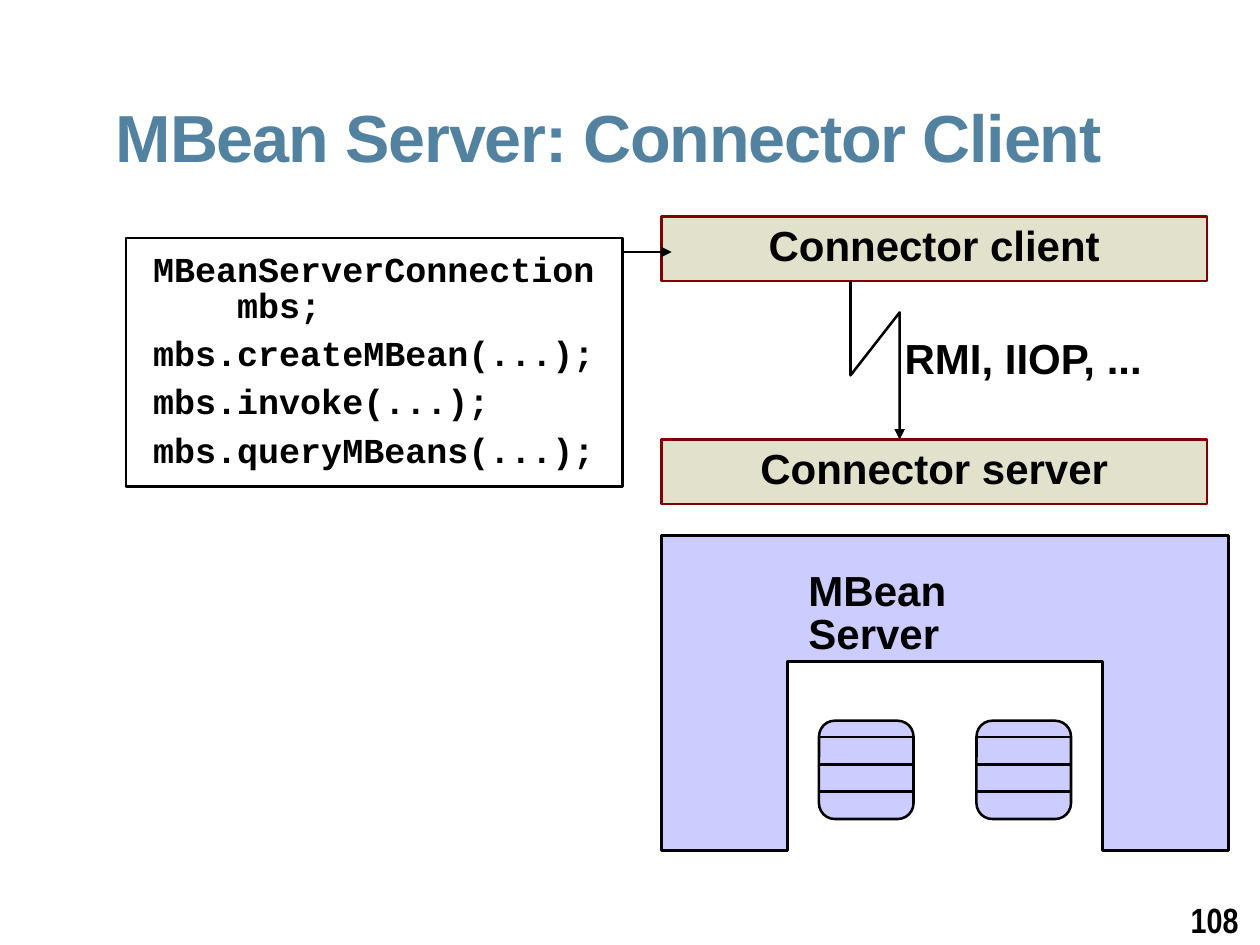
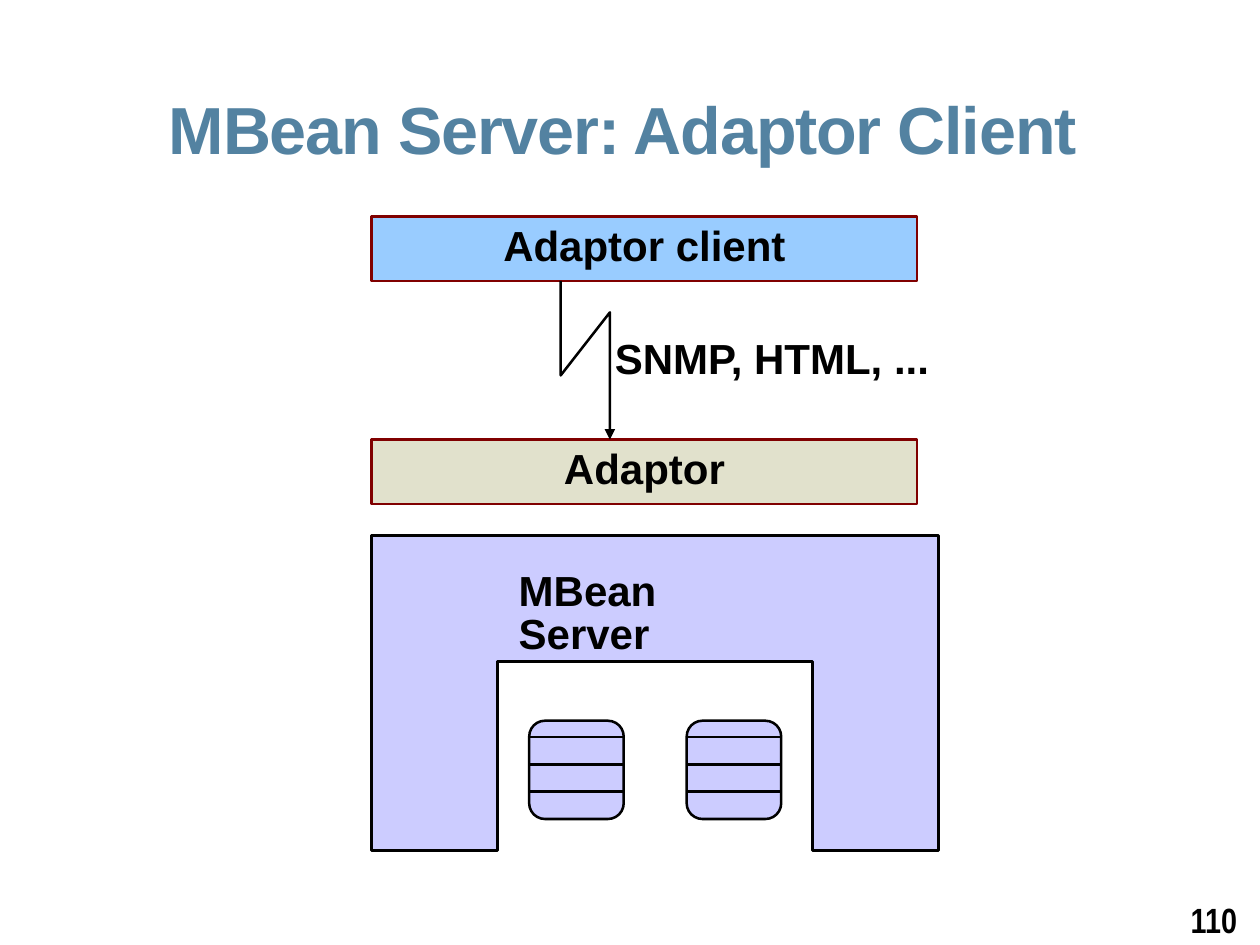
from pptx import Presentation
from pptx.dml.color import RGBColor
from pptx.enum.shapes import MSO_CONNECTOR as CONN, MSO_SHAPE as SHAPE
from pptx.enum.text import MSO_ANCHOR as ANCHOR, MSO_AUTO_SIZE as AUTO, PP_ALIGN as ALIGN
from pptx.oxml.ns import qn
from pptx.util import Pt
from lxml import etree

COLORS = {"title": "5382A1", "ink": "000000", "paper": "FFFFFF", "server": "CCCCFF",
          "sand": "E1E1CC", "sky": "99CCFF", "border": "800000"}
LINE = 1.45

# Content; x is the left edge of the diagram
SLIDES = [
    {"title": "MBean Server: Connector Client", "title_at": (66.24, 59.76), "number": "108",
     "x": 378, "client": ("Connector client", "sand"), "protocols": ("RMI, IIOP, ...", 153.36),
     "endpoint": "Connector server",
     "code": ["MBeanServerConnection\vmbs;", "mbs.createMBean(...);",
              "mbs.invoke(...);", "mbs.queryMBeans(...);"]},
    {"title": "MBean Server: Adaptor Client", "title_at": (96.48, 55.44), "number": "110",
     "x": 212.4, "client": ("Adaptor client", "sky"), "protocols": ("SNMP, HTML, ...", 182.88),
     "endpoint": "Adaptor", "code": []},
]

# Diagram geometry
W, H = 720, 540
BAR_W, BAR_H = 311.76, 36.72
CLIENT_Y, ENDPOINT_Y = 123.84, 251.28
CLIENT_BOTTOM = CLIENT_Y + BAR_H
ARCH = [(0, 486), (72, 486), (72, 378), (252, 378), (252, 486), (324, 486), (324, 306), (0, 306)]
BOLT = [(108, CLIENT_BOTTOM), (108, 214.56), (136.08, 178.56), (136.08, ENDPOINT_Y)]
BEAN_XS, BEAN_Y, BEAN_W, BEAN_H = (90, 180), 411.84, 54, 56.16
BEAN_LINES = [421.2 + 15.55 * i for i in range(3)]
CODE_BOX = (72, 136.08, 283.68, 141.84)
CODE_ARROW = [(355.68, 144), (383.76, 144)]

prs = Presentation()
prs.slide_width, prs.slide_height = Pt(W), Pt(H)


def rgb(name):
    return RGBColor.from_string(COLORS[name])


def stroke(shape, color="ink", width=LINE, arrow=False):
    shape.line.color.rgb = rgb(color)
    shape.line.width = Pt(width)
    if arrow:
        etree.SubElement(shape.line._get_or_add_ln(), qn("a:tailEnd"), type="triangle")


def paint(shape, fill, color="ink", width=LINE):
    shape.shadow.inherit = False
    shape.fill.solid()
    shape.fill.fore_color.rgb = rgb(fill)
    stroke(shape, color, width)


def write(shape, lines, size=24, font="Arial", color="ink", align=ALIGN.LEFT,
          spacing=0.85, before=7.2, inset=0, wrap=True):
    tf = shape.text_frame
    tf.text = "\n".join(lines)
    tf.word_wrap = wrap
    tf.margin_left = tf.margin_right = tf.margin_top = tf.margin_bottom = Pt(inset)
    for p in tf.paragraphs:
        p.alignment, p.line_spacing, p.space_before = align, spacing, Pt(before)
        for r in p.runs:
            r.font.size, r.font.name, r.font.bold = Pt(size), font, True
            r.font.color.rgb = rgb(color)
    return tf


def label(s, text, x, y, w, h, **style):
    box = s.shapes.add_textbox(Pt(x), Pt(y), Pt(w), Pt(h))
    tf = write(box, [text], **style)
    tf.auto_size = AUTO.SHAPE_TO_FIT_TEXT
    return tf


def block(s, kind, x, y, w, h, fill, color="ink", width=LINE):
    sp = s.shapes.add_shape(kind, Pt(x), Pt(y), Pt(w), Pt(h))
    paint(sp, fill, color, width)
    return sp


def bar(s, text, x, y, fill):
    sp = block(s, SHAPE.RECTANGLE, x, y, BAR_W, BAR_H, fill, "border", 1.5)
    write(sp, [text], align=ALIGN.CENTER, inset=0.72).vertical_anchor = ANCHOR.MIDDLE


def outline(s, x, points, close):
    pts = [(Pt(x + px), Pt(py)) for px, py in points]
    builder = s.shapes.build_freeform(*pts[0])
    builder.add_line_segments(pts[1:], close=close)
    return builder.convert_to_shape()


def line(s, start, end, arrow=False):
    c = s.shapes.add_connector(CONN.STRAIGHT, *(Pt(v) for v in (*start, *end)))
    stroke(c, arrow=arrow)
    etree.SubElement(c._element.spPr, qn("a:effectLst"))


def frame(s, data):
    label(s, data["number"], 680.4, 516.96, W - 680.4, 23.04, size=20, font="Arial Narrow")
    x, y = data["title_at"]
    tf = label(s, data["title"], x, y, min(653.76, W - x), 49.68, size=38, color="title",
               spacing=0.9, before=0)
    tf.paragraphs[0].runs[0]._r.get_or_add_rPr().set("spc", "-70")


def mbean_server(s, x):
    paint(outline(s, x, ARCH, True), "server")
    for bean_x in BEAN_XS:
        left = x + bean_x
        block(s, SHAPE.ROUNDED_RECTANGLE, left, BEAN_Y, BEAN_W, BEAN_H, "server")
        for y in BEAN_LINES:
            line(s, (left, y), (left + BEAN_W, y))
    label(s, "MBean Server", x + 84, 326.88, 159.84, 28.08, wrap=False)


def code_panel(s, lines):
    sp = block(s, SHAPE.RECTANGLE, *CODE_BOX, "paper")
    tf = write(sp, lines, size=20, font="Courier New")
    tf.vertical_anchor = ANCHOR.MIDDLE
    tf.margin_left = Pt(15.5)
    # Hanging indent of four characters for the continued line
    pPr = tf.paragraphs[0]._p.get_or_add_pPr()
    pPr.set("marL", str(Pt(48)))
    pPr.set("indent", str(-Pt(48)))


for data in SLIDES:
    s = prs.slides.add_slide(prs.slide_layouts[6])
    x = data["x"]
    frame(s, data)
    mbean_server(s, x)
    if data["code"]:
        code_panel(s, data["code"])
    # Client, protocol bolt and endpoint
    text, fill = data["client"]
    bar(s, text, x, CLIENT_Y, fill)
    bar(s, data["endpoint"], x, ENDPOINT_Y, "sand")
    bolt = outline(s, x, BOLT, False)
    bolt.shadow.inherit = False
    bolt.fill.background()
    stroke(bolt, arrow=True)
    text, width = data["protocols"]
    label(s, text, x + 138.96, 194.4, width, 28.08, wrap=False)
    if data["code"]:
        line(s, *CODE_ARROW, arrow=True)

prs.save("out.pptx")
